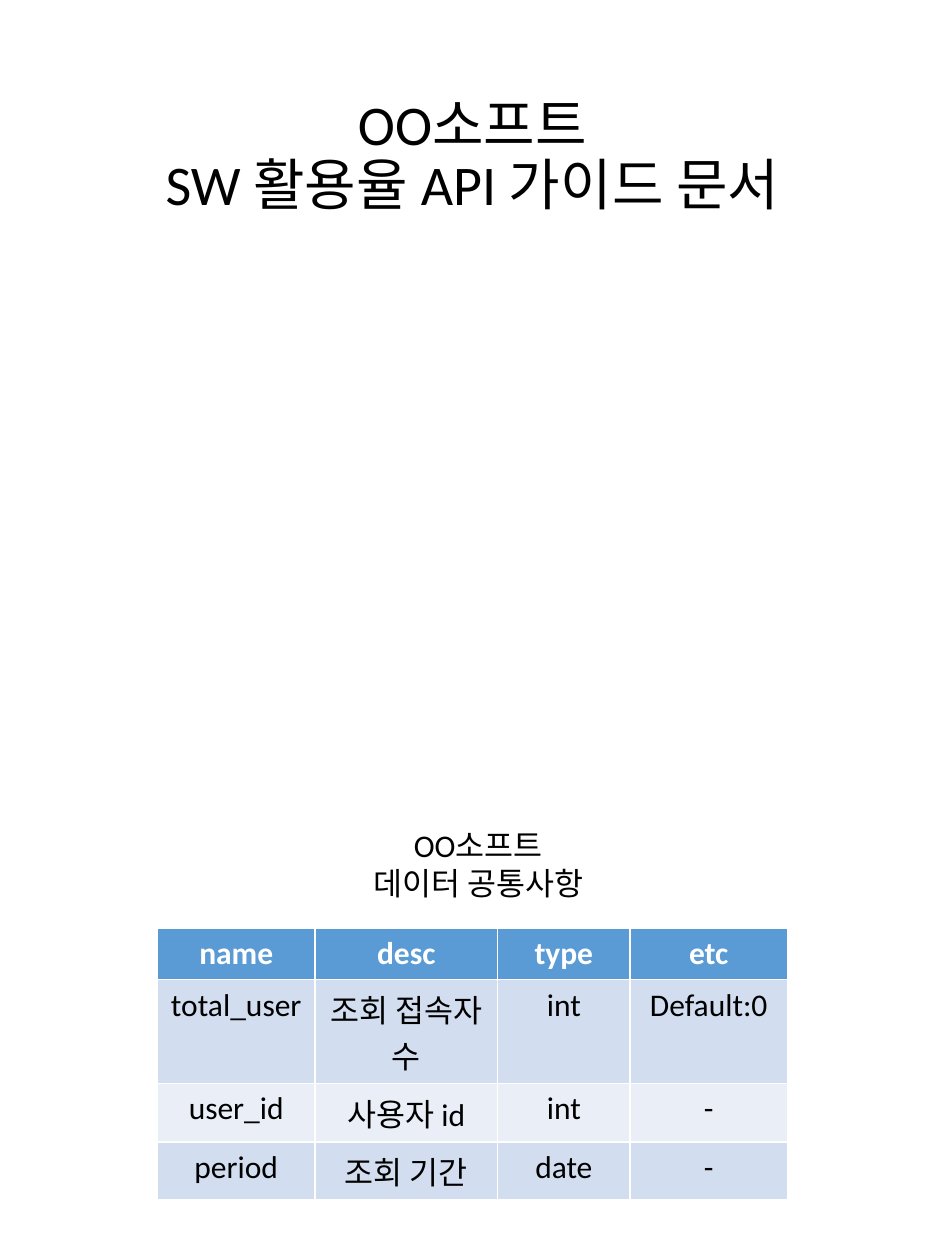
from dataclasses import dataclass
from pptx import Presentation
from pptx.dml.color import RGBColor
from pptx.enum.text import MSO_ANCHOR, MSO_AUTO_SIZE, PP_ALIGN
from pptx.util import Inches, Pt


@dataclass(frozen=True)
class Theme:
    font: str = "Calibri"
    ink: str = "000000"
    light: str = "FFFFFF"
    head: str = "5B9BD5"
    bands: tuple = ("D2DEEF", "EAEFF7")
    big: int = 32
    base: int = 18


class Page:
    def __init__(self, deck, theme):
        self.wide, self.high = deck.slide_width, deck.slide_height
        self.theme = theme
        self.slide = deck.slides.add_slide(deck.slide_layouts[5])

    def area(self, left, top, width, height):
        return (round(left * self.wide), round(top * self.high),
                round(width * self.wide), round(height * self.high))

    def text(self, frame, lines, size, color, bold=False):
        para = frame.paragraphs[0]
        para.alignment = PP_ALIGN.CENTER
        for spot, line in enumerate(lines):
            if spot:
                para.add_line_break()
            run = para.add_run()
            run.text = line
            run.font.name = self.theme.font
            run.font.size = Pt(size)
            run.font.bold = bold
            run.font.color.rgb = RGBColor.from_string(color)
        return para

    def title(self, lines, *place):
        shape = self.slide.shapes.title
        shape.left, shape.top, shape.width, shape.height = self.area(*place)
        frame = shape.text_frame
        frame.word_wrap = True
        frame.auto_size = MSO_AUTO_SIZE.NONE
        frame.vertical_anchor = MSO_ANCHOR.MIDDLE
        para = self.text(frame, lines, self.theme.big, self.theme.ink)
        para.line_spacing = 0.9

    def label(self, lines, *place):
        frame = self.slide.shapes.add_textbox(*self.area(*place)).text_frame
        frame.word_wrap = True
        frame.auto_size = MSO_AUTO_SIZE.SHAPE_TO_FIT_TEXT
        self.text(frame, lines, self.theme.base, self.theme.ink)

    def table(self, rows, parts, *place):
        box = self.area(*place)
        grid = self.slide.shapes.add_table(len(rows), len(parts), *box).table
        for col, part in zip(grid.columns, parts):
            col.width = round(box[2] * part)
        for r, row in enumerate(rows):
            top = r == 0
            fill = self.theme.head if top else self.theme.bands[(r - 1) % 2]
            color = self.theme.light if top else self.theme.ink
            for c, word in enumerate(row):
                cell = grid.cell(r, c)
                cell.fill.solid()
                cell.fill.fore_color.rgb = RGBColor.from_string(fill)
                self.text(cell.text_frame, [word], self.theme.base, color, top)


def main():
    deck = Presentation()
    deck.slide_width, deck.slide_height = Inches(7.5), Inches(10)
    page = Page(deck, Theme())
    page.title(["OO소프트", "SW 활용율 API 가이드 문서"], 1.07 / 7.5, 0.07, 5.36 / 7.5, 0.11)
    page.table(
        [
            ("name", "desc", "type", "etc"),
            ("total_user", "조회 접속자 수", "int", "Default:0"),
            ("user_id", "사용자 id", "int", "-"),
            ("period", "조회 기간", "date", "-"),
        ],
        (0.25, 0.29, 0.21, 0.25),
        1 / 6, 7.37 / 10, 2 / 3, 1.48 / 10,
    )
    page.label(["OO소프트", "데이터 공통사항"], 1.34 / 7.5, 6.51 / 10, 4.91 / 7.5, 0.71 / 10)
    deck.save("out.pptx")


if __name__ == "__main__":
    main()
